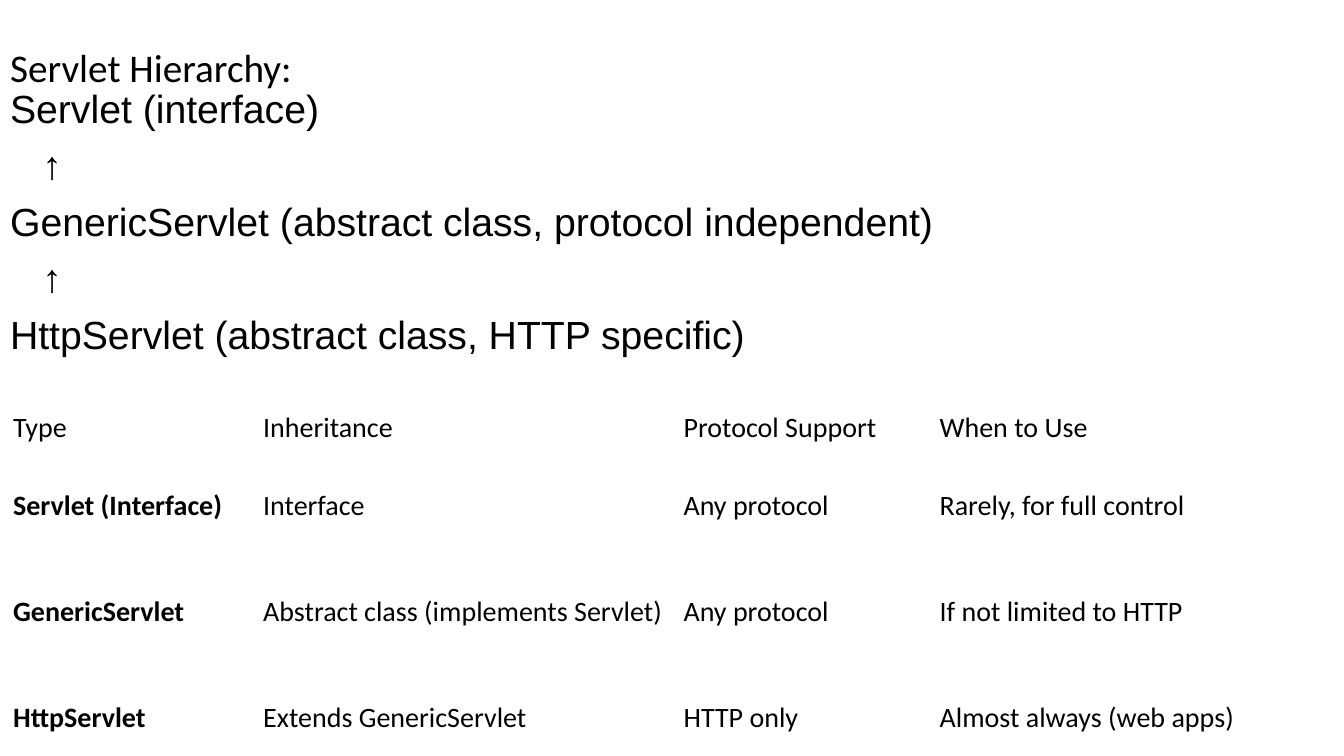
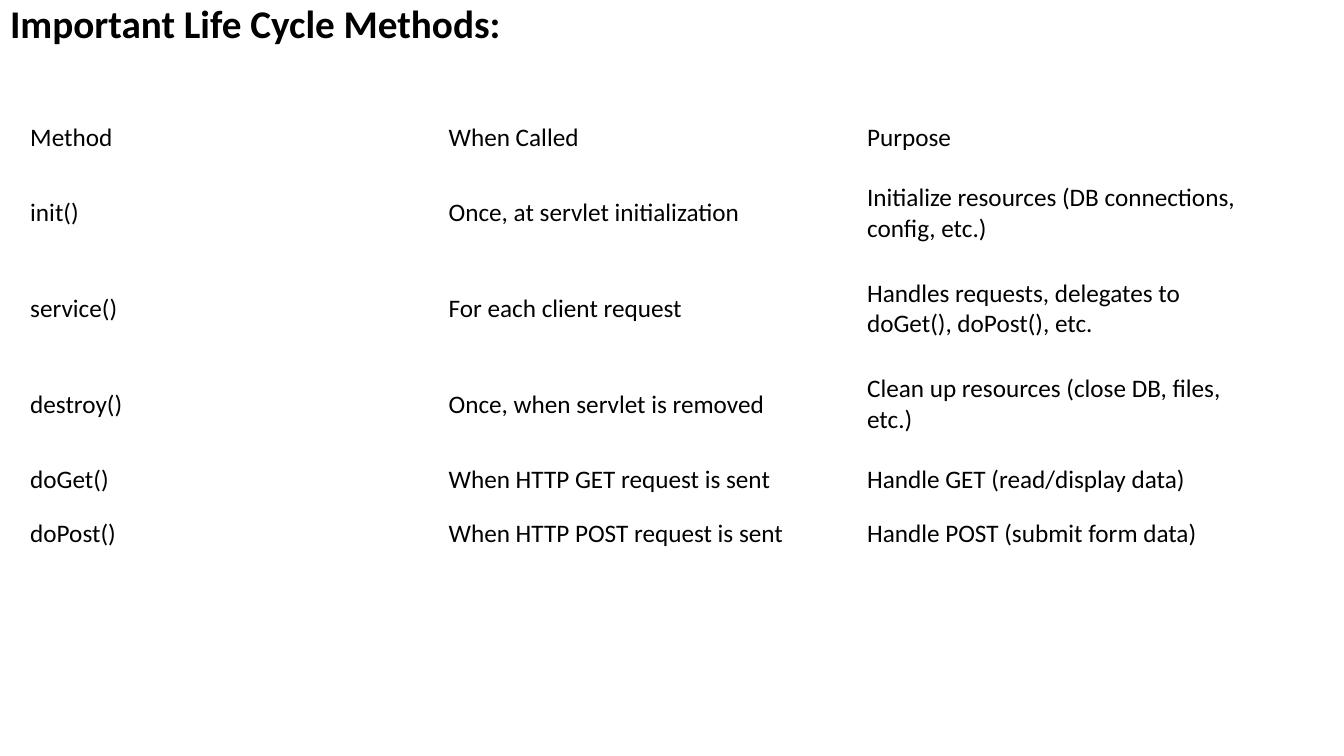
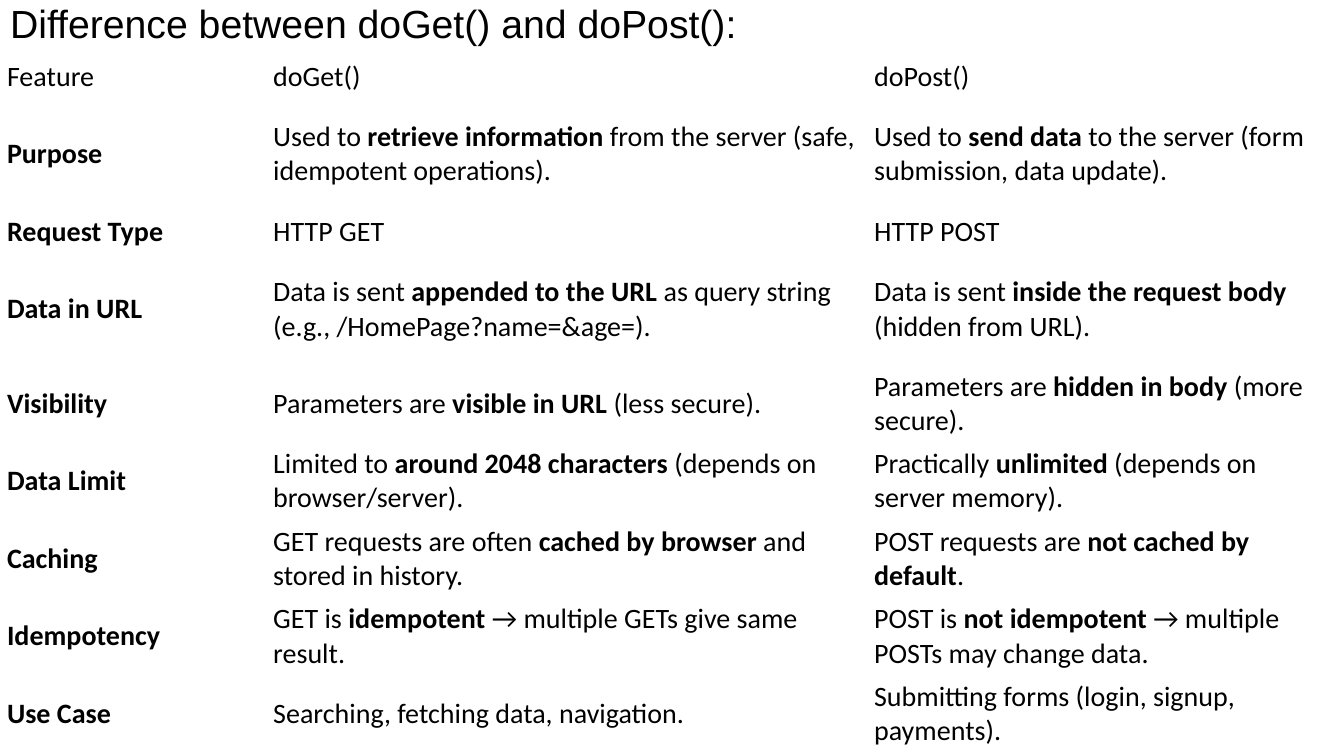
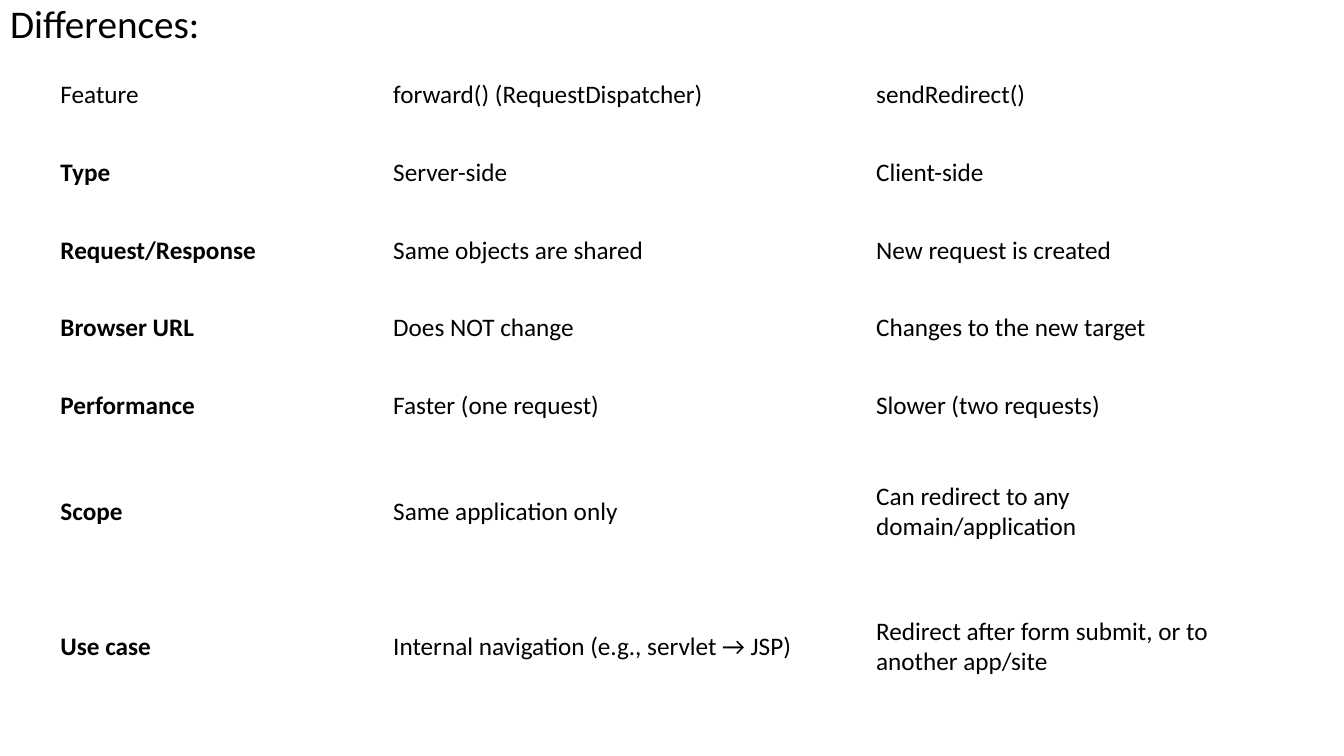
from dataclasses import dataclass

from lxml import etree
from pptx import Presentation
from pptx.dml.color import RGBColor
from pptx.enum.text import MSO_ANCHOR, MSO_AUTO_SIZE, PP_ALIGN
from pptx.oxml.ns import qn
from pptx.util import Inches, Pt

TOP, MIDDLE = MSO_ANCHOR.TOP, MSO_ANCHOR.MIDDLE
LEFT = PP_ALIGN.LEFT
NO_AUTOFIT = MSO_AUTO_SIZE.NONE
TITLE_AND_CONTENT, TITLE_ONLY = 1, 5
NO_STYLE_NO_GRID = "{2D5ABB26-0587-4C30-8999-92F81FD0307C}"
SLIDE_WIDTH, SLIDE_HEIGHT = 13.33, 7.5


@dataclass(frozen=True)
class Theme:
    ink: RGBColor = RGBColor(0, 0, 0)
    sans: str = "Calibri"
    grotesque: str = "Arial"
    heading_size: int = 28
    line_spacing: float = 0.9
    space_before: int = 10
    title_height: float = 0.5
    arrow_indent: float = 0.32


THEME = Theme()


@dataclass(frozen=True)
class Heading:
    text: str
    font: str = THEME.sans
    bold: bool = False
    top: float = 0


@dataclass(frozen=True)
class TableSpec:
    """Cell text marks bold words with double asterisks."""
    left: float
    top: float
    columns: list[float]
    row_heights: list[float]
    rows: list[list[str]]
    size: int
    bold_labels: bool = True
    margins: tuple[float, float] = (0.1, 0.05)


@dataclass(frozen=True)
class Page:
    heading: Heading
    table: TableSpec
    hierarchy: tuple[str, ...] = ()


# Text helpers
def add_run(paragraph, text: str, font: str, size: int, bold: bool = False) -> None:
    run = paragraph.add_run()
    run.text = text
    run.font.name = font
    run.font.size = Pt(size)
    run.font.bold = bold
    run.font.color.rgb = THEME.ink


def add_heading_line(paragraph, text: str, font: str, bold: bool = False) -> None:
    paragraph.alignment = LEFT
    paragraph.line_spacing = THEME.line_spacing
    paragraph.space_before = Pt(THEME.space_before)
    add_run(paragraph, text, font, THEME.heading_size, bold)


def remove_bullet(paragraph, indent: float) -> None:
    properties = paragraph._p.get_or_add_pPr()
    properties.set("marL", str(Inches(indent)))
    properties.set("indent", "0")
    etree.SubElement(properties, qn("a:buNone"))


def place_text(shape, top: float, height: float):
    shape.left, shape.top = Inches(0), Inches(top)
    shape.width, shape.height = Inches(SLIDE_WIDTH), Inches(height)
    frame = shape.text_frame
    frame.word_wrap = True
    frame.auto_size = NO_AUTOFIT
    frame.vertical_anchor = TOP
    return frame


# Slide parts
def draw_heading(slide, heading: Heading) -> None:
    frame = place_text(slide.shapes.title, heading.top, THEME.title_height)
    add_heading_line(frame.paragraphs[0], heading.text, heading.font, heading.bold)


def draw_hierarchy(slide, classes: tuple[str, ...], top: float, height: float) -> None:
    """List the classes with an indented arrow between neighbours."""
    frame = place_text(slide.placeholders[1], top, height)
    lines = [classes[0]]
    for name in classes[1:]:
        lines += ["↑", name]
    for index, line in enumerate(lines):
        paragraph = frame.add_paragraph() if index else frame.paragraphs[0]
        add_heading_line(paragraph, line, THEME.grotesque)
        remove_bullet(paragraph, THEME.arrow_indent if line == "↑" else 0)


def fill_cell(cell, text: str, spec: TableSpec, label: bool) -> None:
    horizontal, vertical = (Inches(margin) for margin in spec.margins)
    cell.margin_left = cell.margin_right = horizontal
    cell.margin_top = cell.margin_bottom = vertical
    cell.vertical_anchor = MIDDLE
    cell.fill.background()
    paragraph = cell.text_frame.paragraphs[0]
    for index, part in enumerate(text.split("**")):
        add_run(paragraph, part, THEME.sans, spec.size, label or index % 2 == 1)


def draw_table(slide, spec: TableSpec) -> None:
    frame = slide.shapes.add_table(
        len(spec.rows), len(spec.columns), Inches(spec.left), Inches(spec.top),
        Inches(sum(spec.columns)), Inches(sum(spec.row_heights)))
    table = frame.table
    table.first_row = table.horz_banding = False
    table._tbl.tblPr.find(qn("a:tableStyleId")).text = NO_STYLE_NO_GRID
    for column, width in zip(table.columns, spec.columns):
        column.width = Inches(width)
    for row, height in zip(table.rows, spec.row_heights):
        row.height = Inches(height)
    for row_index, texts in enumerate(spec.rows):
        for column_index, text in enumerate(texts):
            label = spec.bold_labels and row_index > 0 and column_index == 0
            fill_cell(table.cell(row_index, column_index), text, spec, label)


# Content
PAGES = [
    Page(
        Heading("Servlet Hierarchy:", top=0.43),
        TableSpec(
            0.03, 3.86, [2.48, 4.17, 2.54, 4.11], [0.77, 0.77, 1.34, 0.77],
            [
                ["Type", "Inheritance", "Protocol Support", "When to Use"],
                ["Servlet (Interface)", "Interface", "Any protocol",
                 "Rarely, for full control"],
                ["GenericServlet", "Abstract class (implements Servlet)",
                 "Any protocol", "If not limited to HTTP"],
                ["HttpServlet", "Extends GenericServlet", "HTTP only",
                 "Almost always (web apps)"],
            ],
            size=20),
        hierarchy=(
            "Servlet (interface)",
            "GenericServlet (abstract class, protocol independent)",
            "HttpServlet (abstract class, HTTP specific)",
        )),
    Page(
        Heading("Important Life Cycle Methods:", bold=True),
        TableSpec(
            0.2, 1.1, [4.15] * 3, [0.54] + [0.95] * 3 + [0.54] * 2,
            [
                ["Method", "When Called", "Purpose"],
                ["init()", "Once, at servlet initialization",
                 "Initialize resources (DB connections, config, etc.)"],
                ["service()", "For each client request",
                 "Handles requests, delegates to doGet(), doPost(), etc."],
                ["destroy()", "Once, when servlet is removed",
                 "Clean up resources (close DB, files, etc.)"],
                ["doGet()", "When HTTP GET request is sent",
                 "Handle GET (read/display data)"],
                ["doPost()", "When HTTP POST request is sent",
                 "Handle POST (submit form data)"],
            ],
            size=18, bold_labels=False)),
    Page(
        Heading("Difference between doGet() and doPost():", THEME.grotesque),
        TableSpec(
            0, 0.54, [2.64, 5.96, 4.49], [0.44, 1.1] * 2 + [0.77] * 5,
            [
                ["Feature", "doGet()", "doPost()"],
                ["Purpose",
                 "Used to **retrieve information** from the server (safe, idempotent operations).",
                 "Used to **send data** to the server (form submission, data update)."],
                ["Request Type", "HTTP GET", "HTTP POST"],
                ["Data in URL",
                 "Data is sent **appended to the URL** as query string (e.g., /HomePage?name=&age=).",
                 "Data is sent **inside the request body** (hidden from URL)."],
                ["Visibility",
                 "Parameters are **visible in URL** (less secure).",
                 "Parameters are **hidden in body** (more secure)."],
                ["Data Limit",
                 "Limited to **around 2048 characters** (depends on browser/server).",
                 "Practically **unlimited** (depends on server memory)."],
                ["Caching",
                 "GET requests are often **cached by browser** and stored in history.",
                 "POST requests are **not cached by default**."],
                ["Idempotency",
                 "GET is **idempotent** → multiple GETs give same result.",
                 "POST is **not idempotent** → multiple POSTs may change data."],
                ["Use Case",
                 "Searching, fetching data, navigation.",
                 "Submitting forms (login, signup, payments)."],
            ],
            size=20, margins=(0.07, 0.03))),
    Page(
        Heading("Differences:"),
        TableSpec(
            0.5, 0.56, [3.3, 4.79, 4.04], [0.77] * 5 + [1.34] * 2,
            [
                ["Feature", "forward() (RequestDispatcher)", "sendRedirect()"],
                ["Type", "Server-side", "Client-side"],
                ["Request/Response", "Same objects are shared", "New request is created"],
                ["Browser URL", "Does NOT change", "Changes to the new target"],
                ["Performance", "Faster (one request)", "Slower (two requests)"],
                ["Scope", "Same application only",
                 "Can redirect to any domain/application"],
                ["Use case", "Internal navigation (e.g., servlet → JSP)",
                 "Redirect after form submit, or to another app/site"],
            ],
            size=18)),
]


def main() -> None:
    presentation = Presentation()
    presentation.slide_width = Inches(SLIDE_WIDTH)
    presentation.slide_height = Inches(SLIDE_HEIGHT)
    for page in PAGES:
        layout = TITLE_AND_CONTENT if page.hierarchy else TITLE_ONLY
        slide = presentation.slides.add_slide(presentation.slide_layouts[layout])
        draw_heading(slide, page.heading)
        if page.hierarchy:
            draw_hierarchy(slide, page.hierarchy, top=0.84, height=3)
        draw_table(slide, page.table)
    presentation.save("out.pptx")


if __name__ == "__main__":
    main()
